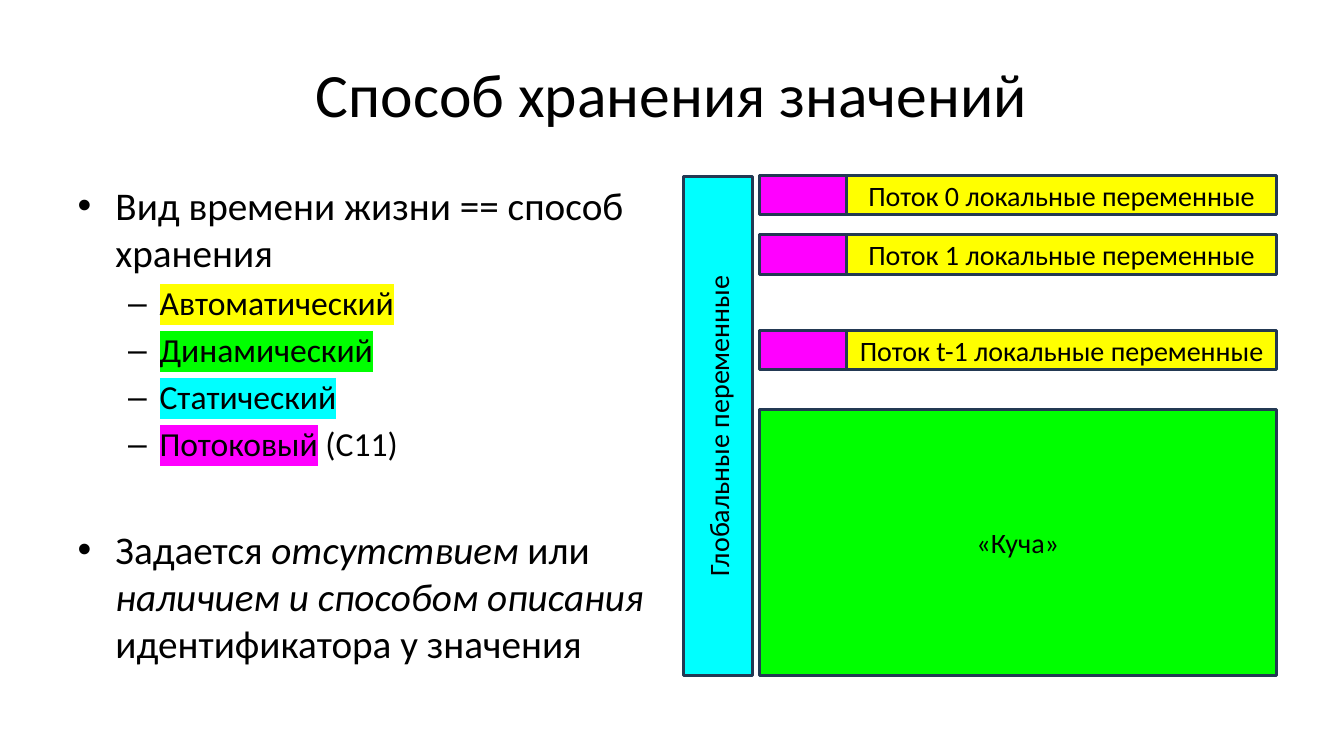
from lxml import etree
from pptx import Presentation
from pptx.dml.color import RGBColor
from pptx.enum.shapes import MSO_SHAPE
from pptx.enum.text import MSO_ANCHOR, MSO_AUTO_SIZE, PP_ALIGN
from pptx.oxml.ns import qn
from pptx.util import Inches, Pt

RECTANGLE = MSO_SHAPE.RECTANGLE
CENTER = PP_ALIGN.CENTER
MIDDLE = MSO_ANCHOR.MIDDLE
NO_AUTOFIT = MSO_AUTO_SIZE.NONE

# Content
COLORS = {
    "automatic": "FFFF00",
    "dynamic": "00FF00",
    "static": "00FFFF",
    "thread": "FF00FF",
    "text": "000000",
    "outline": "233953",
}
FONT = "Calibri"
TITLE = "Способ хранения значений"

# Each paragraph: level, space before in points (None keeps the template's),
# spans of (text, italic, highlight)
BODY = [
    (0, 0, [("Вид времени жизни == способ хранения", False, None)]),
    (1, None, [("Автоматический", False, "automatic")]),
    (1, None, [("Динамический", False, "dynamic")]),
    (1, None, [("Статический", False, "static")]),
    (1, None, [("Потоковый", False, "thread"), (" (C11)", False, None)]),
    (0, 44, [
        ("Задается ", False, None),
        ("отсутствием", True, None),
        (" или ", False, None),
        ("наличием и способом описания", True, None),
        (" идентификатора у значения", False, None),
    ]),
]
LEVEL_SIZES = (28, 24)

# Thread name and top of its row
THREADS = [("0", 1.74), ("1", 2.33), ("t-1", 3.28)]
GLOBALS = "Глобальные переменные"
HEAP = "«Куча»"

# Layout in inches
WIDTH, HEIGHT = 13.33, 7.5
MARGIN = 0.67
RIGHT = WIDTH - MARGIN
TOP, BOTTOM = 1.75, 6.7
BODY_WIDTH = 5.89
GLOBALS_LEFT, GLOBALS_WIDTH = 6.78, 0.68
MEMORY_LEFT = 7.53
THREAD_WIDTH, ROW_HEIGHT = 0.87, 0.39
LOCALS_LEFT = MEMORY_LEFT + THREAD_WIDTH
HEAP_TOP = 4.06


def color(name):
    return RGBColor.from_string(COLORS[name])


def format_span(span, size, italic=False, highlight=None):
    span.font.size = Pt(size)
    span.font.name = FONT
    span.font.color.rgb = color("text")
    if italic:
        span.font.italic = True
    if highlight:
        properties = span.font._element
        mark = etree.Element(qn("a:highlight"))
        etree.SubElement(mark, qn("a:srgbClr"), val=COLORS[highlight])
        properties.find(qn("a:solidFill")).addnext(mark)


def place(shape, left, top, width, height):
    shape.left, shape.top = Inches(left), Inches(top)
    shape.width, shape.height = Inches(width), Inches(height)


def add_region(page, left, top, right, bottom, fill, label="", vertical=False):
    region = page.shapes.add_shape(
        RECTANGLE, Inches(left), Inches(top),
        Inches(right - left), Inches(bottom - top))
    region.shadow.inherit = False
    region.fill.solid()
    region.fill.fore_color.rgb = color(fill)
    region.line.color.rgb = color("outline")
    region.line.width = Pt(2)
    if not label:
        return
    frame = region.text_frame
    frame.text = label
    frame.word_wrap = True
    frame.vertical_anchor = MIDDLE
    if vertical:
        frame._txBody.bodyPr.set("vert", "vert270")
    para = frame.paragraphs[0]
    para.alignment = CENTER
    format_span(para.runs[0], 20)


def fill_title(box):
    place(box, MARGIN, 0.3, WIDTH - 2 * MARGIN, 1.25)
    frame = box.text_frame
    frame.text = TITLE
    frame.auto_size = NO_AUTOFIT
    frame.vertical_anchor = MIDDLE
    frame.paragraphs[0].alignment = CENTER
    format_span(frame.paragraphs[0].runs[0], 44)


def fill_body(box):
    place(box, MARGIN, TOP, BODY_WIDTH, BOTTOM - TOP)
    frame = box.text_frame
    frame.auto_size = NO_AUTOFIT
    for number, (level, space, spans) in enumerate(BODY):
        para = frame.add_paragraph() if number else frame.paragraphs[0]
        para.level = level
        if space is not None:
            para.space_before = Pt(space)
        for text, italic, highlight in spans:
            span = para.add_run()
            span.text = text
            format_span(span, LEVEL_SIZES[level], italic, highlight)


def main():
    deck = Presentation()
    deck.slide_width, deck.slide_height = Inches(WIDTH), Inches(HEIGHT)
    page = deck.slides.add_slide(deck.slide_layouts[1])

    # Title and list
    fill_title(page.shapes.title)
    fill_body(page.placeholders[1])

    # Memory of each thread
    for name, top in THREADS:
        bottom = top + ROW_HEIGHT
        add_region(page, LOCALS_LEFT, top, RIGHT, bottom, "automatic",
                   f"Поток {name} локальные переменные")
        add_region(page, MEMORY_LEFT, top, LOCALS_LEFT, bottom, "thread")

    # Shared memory
    add_region(page, GLOBALS_LEFT, TOP, GLOBALS_LEFT + GLOBALS_WIDTH, BOTTOM,
               "static", GLOBALS, vertical=True)
    add_region(page, MEMORY_LEFT, HEAP_TOP, RIGHT, BOTTOM, "dynamic", HEAP)

    deck.save("out.pptx")


if __name__ == "__main__":
    main()
